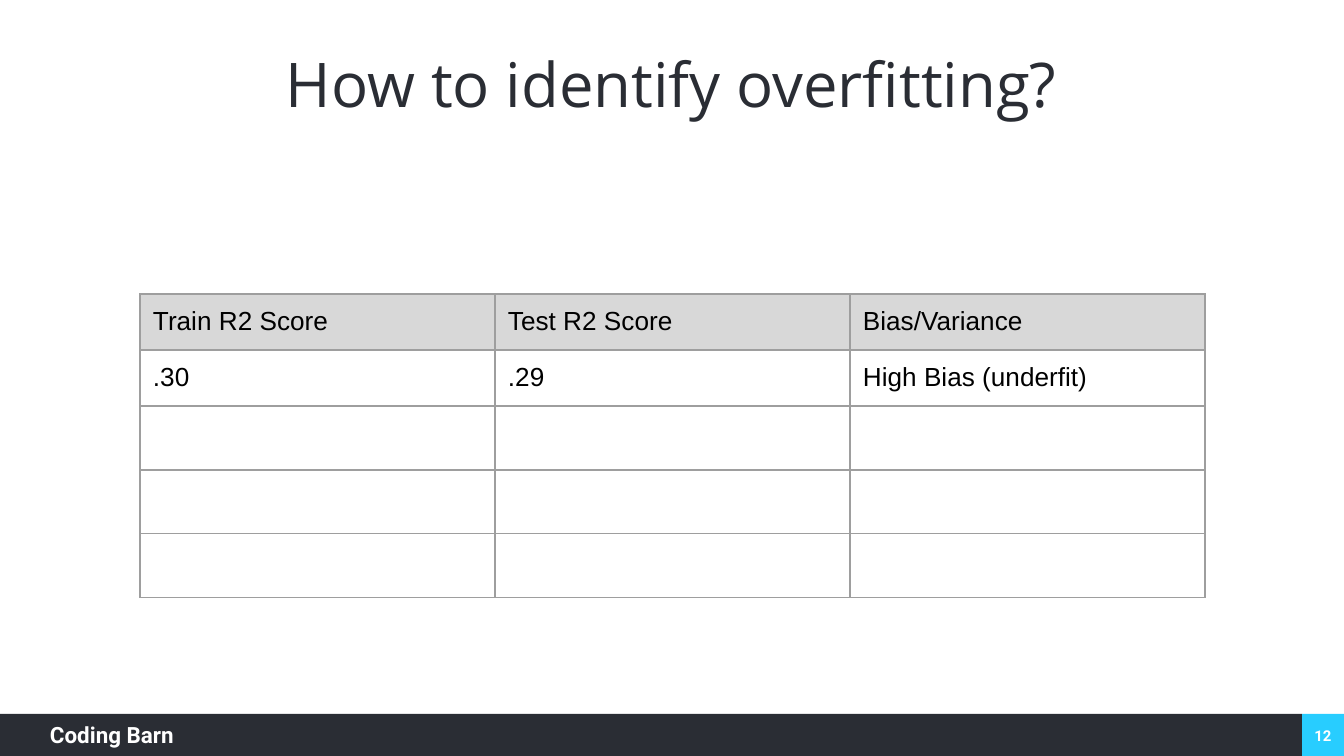
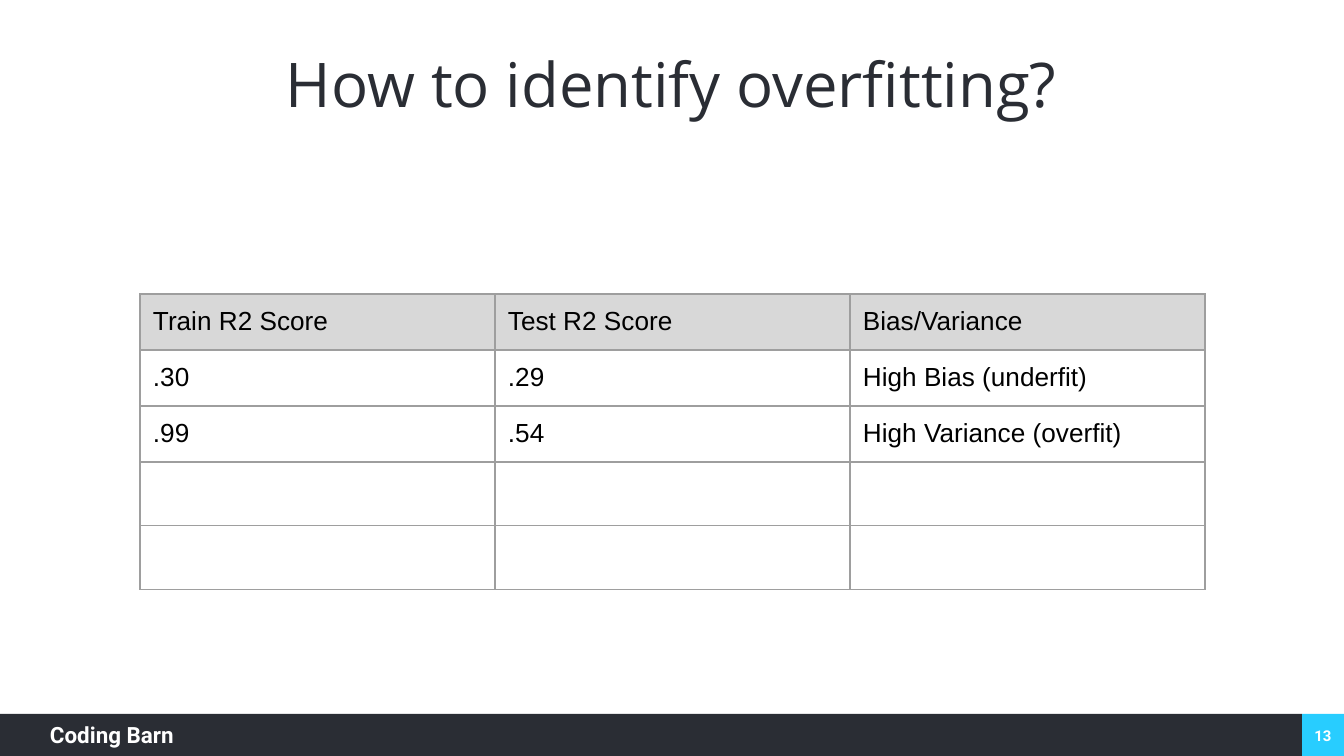
import dataclasses

import pptx
import pptx.dml.color
import pptx.enum.shapes
import pptx.enum.text
import pptx.oxml.ns
import pptx.util
import lxml.etree

TITLE = "How to identify overfitting?"
BRAND = "Coding Barn"
HEADER = ("Train R2 Score", "Test R2 Score", "Bias/Variance")
UNDERFIT = (".30", ".29", "High Bias (underfit)")
OVERFIT = (".99", ".54", "High Variance (overfit)")
SLIDES = [
    (12, [HEADER, UNDERFIT]),
    (13, [HEADER, UNDERFIT, OVERFIT]),
]


@dataclasses.dataclass(frozen=True)
class Theme:
    dark: str = "2A2D34"
    accent: str = "28CDFF"
    white: str = "FFFFFF"
    black: str = "000000"
    header_fill: str = "D8D8D8"
    border: str = "9E9E9E"
    title_font: str = "Open Sans"
    footer_font: str = "Roboto"
    table_font: str = "Arial"
    title_size: int = 33
    brand_size: int = 12
    number_size: int = 8
    table_size: int = 14
    border_width: float = 0.75


THEME = Theme()
PX_PER_INCH = 134.4
SLIDE_W, SLIDE_H = 1344, 756
BAND_H = 42
ROWS = 5
TABLE_X, TABLE_Y, COL_W = 140, 294, 355
FILLED_ROW_H, EMPTY_ROW_H = 56, 64
CELL_INSET = 13

ALIGN = pptx.enum.text.PP_ALIGN
ANCHOR = pptx.enum.text.MSO_ANCHOR


def px(n):
    return pptx.util.Emu(round(n * 914400 / PX_PER_INCH))


def rgb(value):
    return pptx.dml.color.RGBColor.from_string(value)


def set_text(tf, text, *, font, size, color, bold=False,
             align=ALIGN.LEFT, anchor=ANCHOR.TOP, inset=(0, 0)):
    tf.word_wrap = True
    tf.auto_size = pptx.enum.text.MSO_AUTO_SIZE.NONE
    tf.vertical_anchor = anchor
    tf.margin_left = tf.margin_right = px(inset[0])
    tf.margin_top = tf.margin_bottom = px(inset[1])
    p = tf.paragraphs[0]
    p.alignment = align
    r = p.add_run()
    r.text = text
    r.font.name = font
    r.font.size = pptx.util.Pt(size)
    r.font.bold = bold
    r.font.color.rgb = rgb(color)


def add_band(slide, x, w, color):
    sp = slide.shapes.add_shape(pptx.enum.shapes.MSO_SHAPE.RECTANGLE,
                                px(x), px(SLIDE_H - BAND_H), px(w), px(BAND_H))
    sp.shadow.inherit = False
    sp.fill.solid()
    sp.fill.fore_color.rgb = rgb(color)
    sp.line.fill.background()


def add_footer(slide, number):
    split = SLIDE_W - BAND_H
    add_band(slide, split, BAND_H, THEME.accent)
    add_band(slide, 0, split, THEME.dark)
    style = dict(font=THEME.footer_font, color=THEME.white, bold=True)
    brand = slide.shapes.add_textbox(px(50), px(721), px(211), px(31))
    set_text(brand.text_frame, BRAND, size=THEME.brand_size, **style)
    page = slide.shapes.add_textbox(px(1303), px(716), px(40), px(40))
    set_text(page.text_frame, str(number), size=THEME.number_size,
             align=ALIGN.CENTER, anchor=ANCHOR.MIDDLE, inset=(9, 5), **style)


def add_title(slide):
    sp = slide.shapes.title
    sp.left, sp.top, sp.width, sp.height = px(93), px(20), px(1157), px(126)
    set_text(sp.text_frame, TITLE, font=THEME.title_font,
             size=THEME.title_size, color=THEME.dark,
             align=ALIGN.CENTER, anchor=ANCHOR.MIDDLE, inset=(3, 3))


def set_borders(cell):
    tc_pr = cell._tc.get_or_add_tcPr()
    qn = pptx.oxml.ns.qn
    for i, side in enumerate(("lnL", "lnR", "lnT", "lnB")):
        ln = lxml.etree.Element(qn(f"a:{side}"),
                                w=str(pptx.util.Pt(THEME.border_width)))
        fill = lxml.etree.SubElement(ln, qn("a:solidFill"))
        lxml.etree.SubElement(fill, qn("a:srgbClr"), val=THEME.border)
        tc_pr.insert(i, ln)


def add_score_table(slide, rows):
    cols = len(HEADER)
    heights = [FILLED_ROW_H if i < len(rows) else EMPTY_ROW_H
               for i in range(ROWS)]
    table = slide.shapes.add_table(ROWS, cols, px(TABLE_X), px(TABLE_Y),
                                   px(COL_W * cols), px(sum(heights))).table
    table.first_row = table.horz_banding = False
    for col in table.columns:
        col.width = px(COL_W)
    for i, height in enumerate(heights):
        table.rows[i].height = px(height)
        for j in range(cols):
            cell = table.cell(i, j)
            if i == 0:
                cell.fill.solid()
                cell.fill.fore_color.rgb = rgb(THEME.header_fill)
            else:
                cell.fill.background()
            set_borders(cell)
            if i < len(rows):
                set_text(cell.text_frame, rows[i][j], font=THEME.table_font,
                         size=THEME.table_size, color=THEME.black)
            cell.margin_left = cell.margin_right = px(CELL_INSET)
            cell.margin_top = cell.margin_bottom = px(
                CELL_INSET if i < len(rows) else 0)


def main():
    prs = pptx.Presentation()
    prs.slide_width, prs.slide_height = px(SLIDE_W), px(SLIDE_H)
    for number, rows in SLIDES:
        slide = prs.slides.add_slide(prs.slide_layouts[5])
        slide.background.fill.solid()
        slide.background.fill.fore_color.rgb = rgb(THEME.white)
        add_footer(slide, number)
        add_title(slide)
        add_score_table(slide, rows)
    prs.save("out.pptx")


if __name__ == "__main__":
    main()
